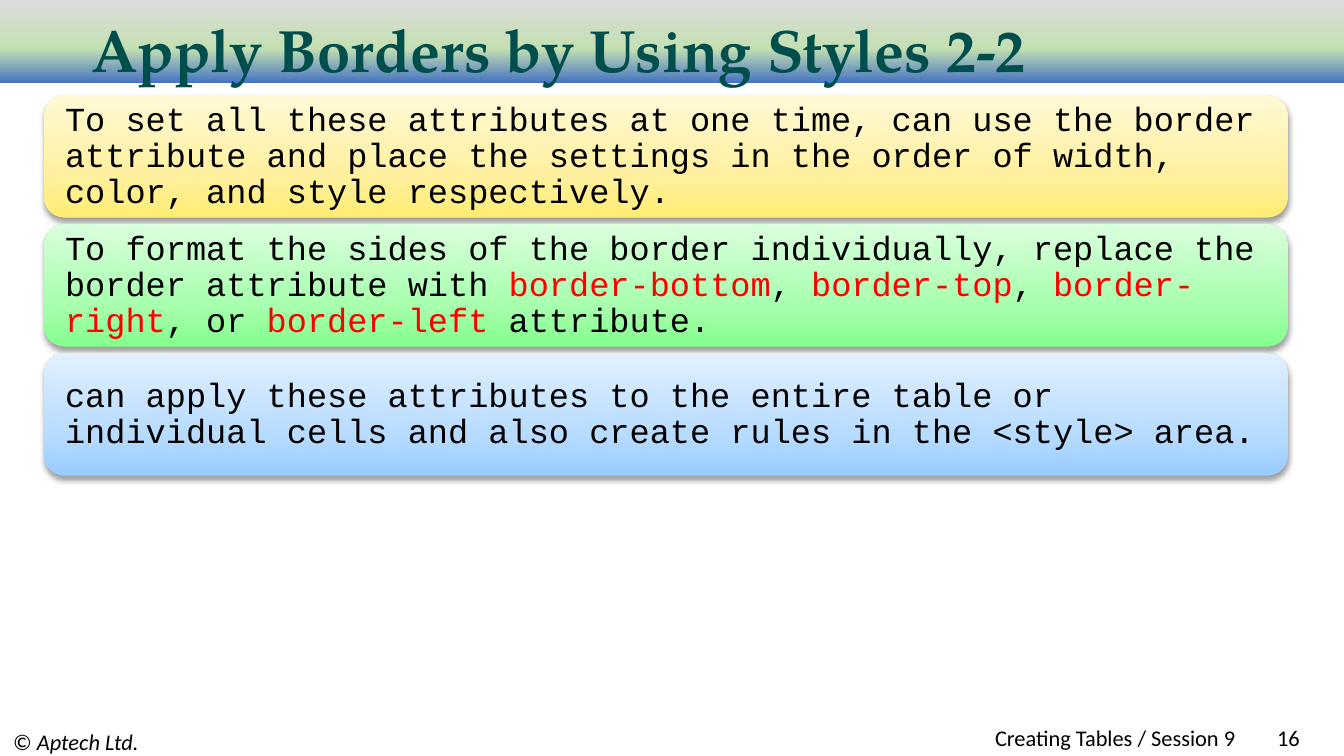
from lxml.etree import SubElement
from pptx import Presentation
from pptx.dml.color import RGBColor
from pptx.enum.shapes import MSO_SHAPE as Shape
from pptx.enum.text import MSO_ANCHOR as Anchor, MSO_AUTO_SIZE as AutoSize, PP_ALIGN as Align
from pptx.oxml.ns import qn
from pptx.util import Inches, Pt

BLACK = RGBColor(0x00, 0x00, 0x00)
RED = RGBColor(0xFF, 0x00, 0x00)
TEAL = RGBColor(0x00, 0x4E, 0x4C)

# Gradient stops run from the bottom edge (0) to the top edge (100)
BAND_STOPS = [(0, "4472C4"), (42, "C4E0B2"), (100, "DBDBDB")]
YELLOW_STOPS = [(0, "FFED74"), (35, "FFF09F"), (100, "FFF9D6")]
GREEN_STOPS = [(0, "84FF8D"), (35, "A8FFAE"), (100, "DAFFDD")]
BLUE_STOPS = [(0, "99CCFF"), (35, "B8DCFF"), (100, "E2F0FF")]

TITLE = "Apply Borders by Using Styles 2-2"
TITLE_FONT = {"name": "TeX Gyre Pagella", "size": Pt(32), "bold": True}
CARD_FONT = {"name": "Courier New", "size": Pt(18)}
FOOTER_FONT = {"name": "Calibri", "size": Pt(12)}

# Each run is (text, colour)
CARDS = [
    (YELLOW_STOPS, [
        ("To set all these attributes at one time, can use the border attribute and "
         "place the settings in the order of width, color, and style respectively.", BLACK),
    ]),
    (GREEN_STOPS, [
        ("To format the sides of the border individually, replace the border attribute with ", BLACK),
        ("border-bottom", RED), (", ", BLACK),
        ("border-top", RED), (", ", BLACK),
        ("border-right", RED), (", or ", BLACK),
        ("border-left", RED), (" attribute.", BLACK),
    ]),
    (BLUE_STOPS, [
        ("can apply these attributes to the entire table or individual cells and also "
         "create rules in the <style> area.", BLACK),
    ]),
]
CARD_LEFT, CARD_TOP, CARD_WIDTH, CARD_HEIGHT = 0.33, 0.71, 9.25, 0.91
CARD_GAP = 0.05

# (box, alignment, runs as (text, italic))
FOOTERS = [
    ((0, 5.42, 3.33, 0.2), Align.LEFT, [("© ", False), ("Aptech Ltd.", True)]),
    ((8.92, 5.42, 0.85, 0.14), Align.RIGHT, [("16", False)]),
    ((2.75, 5.42, 6.58, 0.14), Align.RIGHT, [("Creating Tables / Session 9 ", False)]),
]


def inches(box):
    return [Inches(value) for value in box]


def set_frame(frame, side=0.1, end=0.05):
    settings = {
        "word_wrap": True, "auto_size": AutoSize.NONE, "vertical_anchor": Anchor.MIDDLE,
        "margin_left": Inches(side), "margin_right": Inches(side),
        "margin_top": Inches(end), "margin_bottom": Inches(end),
    }
    for key, value in settings.items():
        setattr(frame, key, value)


def add_run(paragraph, text, font_format, color):
    run = paragraph.add_run()
    run.text = text
    for key, value in font_format.items():
        setattr(run.font, key, value)
    run.font.color.rgb = color


def add_panel(slide, kind, box, stops):
    """Add a borderless shape with a vertical gradient of any number of stops."""
    panel = slide.shapes.add_shape(kind, *inches(box))
    panel.shadow.inherit = False
    panel.line.fill.background()
    panel.fill.gradient()
    panel.fill.gradient_angle = 90
    stop_list = panel._element.spPr.find(".//" + qn("a:gsLst"))
    for old_stop in list(stop_list):
        stop_list.remove(old_stop)
    for position, color in stops:
        stop = SubElement(stop_list, qn("a:gs"), pos=str(position * 1000))
        SubElement(stop, qn("a:srgbClr"), val=color)
    return panel


def add_drop_shadow(panel):
    effects = panel._element.spPr.find(qn("a:effectLst"))
    shadow = SubElement(effects, qn("a:outerShdw"), blurRad=str(Pt(3.1)),
                        dist=str(Pt(1.6)), dir="5400000", rotWithShape="0")
    color = SubElement(shadow, qn("a:srgbClr"), val="000000")
    SubElement(color, qn("a:alpha"), val="38000")


def add_card(slide, index, stops, runs):
    top = CARD_TOP + index * (CARD_HEIGHT + CARD_GAP)
    card = add_panel(slide, Shape.ROUNDED_RECTANGLE,
                     (CARD_LEFT, top, CARD_WIDTH, CARD_HEIGHT), stops)
    card.adjustments[0] = 0.167
    add_drop_shadow(card)
    set_frame(card.text_frame, side=0.11, end=0.09)
    paragraph = card.text_frame.paragraphs[0]
    paragraph.alignment = Align.LEFT
    paragraph.line_spacing = 0.9
    for text, color in runs:
        add_run(paragraph, text, CARD_FONT, color)


def add_footer(slide, box, alignment, runs):
    footer = slide.shapes.add_textbox(*inches(box))
    set_frame(footer.text_frame)
    paragraph = footer.text_frame.paragraphs[0]
    paragraph.alignment = alignment
    for text, italic in runs:
        add_run(paragraph, text, {**FOOTER_FONT, "italic": italic}, BLACK)


def place_title(slide):
    title = slide.shapes.title
    title.left, title.top, title.width, title.height = inches((0.58, 0.19, 8.33, 0.34))
    set_frame(title.text_frame)
    paragraph = title.text_frame.paragraphs[0]
    paragraph.alignment = Align.LEFT
    add_run(paragraph, TITLE, TITLE_FONT, TEAL)
    slide.shapes._spTree.append(title._element)  # in front of the band


def main():
    deck = Presentation()
    deck.slide_width = Inches(10)
    deck.slide_height = deck.slide_width * 9 // 16
    slide = deck.slides.add_slide(deck.slide_layouts[5])

    add_panel(slide, Shape.RECTANGLE, (0, 0, 10, 0.62), BAND_STOPS)
    for footer in FOOTERS:
        add_footer(slide, *footer)
    place_title(slide)
    for index, (stops, runs) in enumerate(CARDS):
        add_card(slide, index, stops, runs)

    deck.save("out.pptx")


if __name__ == "__main__":
    main()
